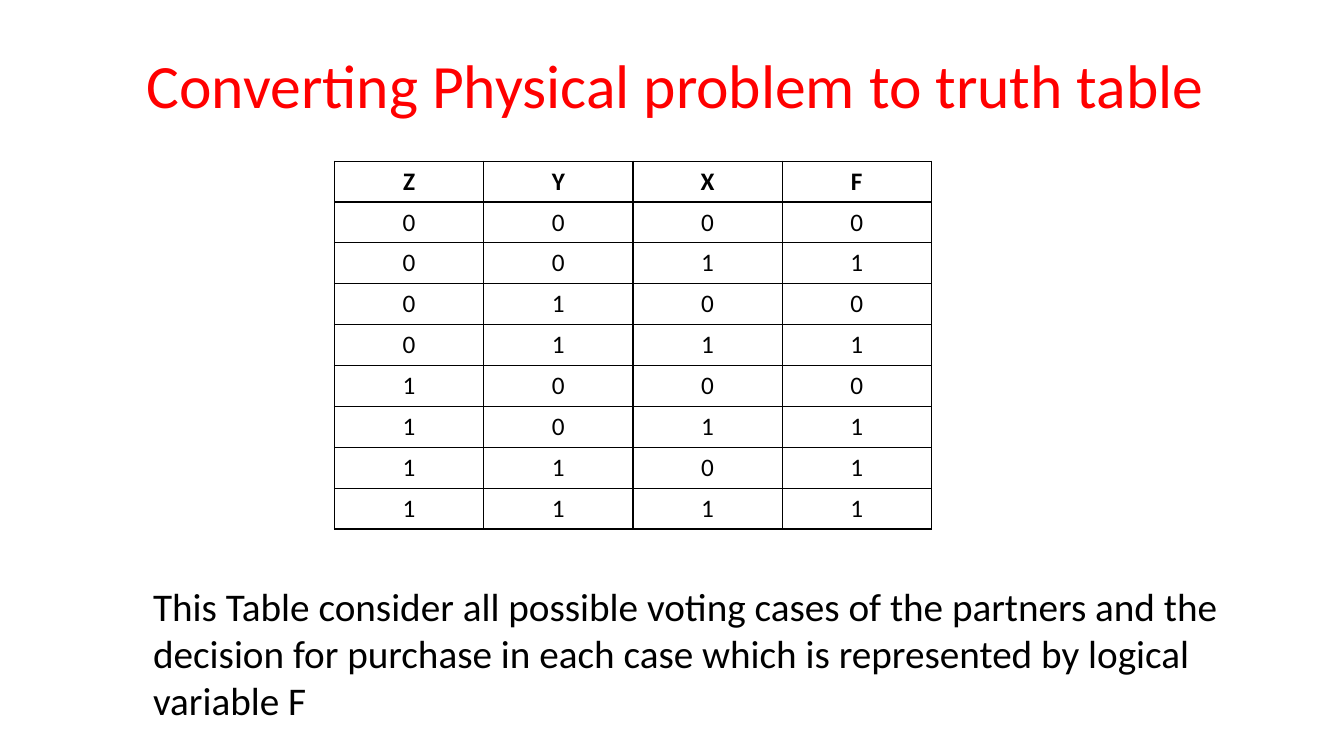
from itertools import product

from lxml.etree import SubElement
from pptx import Presentation
from pptx.dml.color import RGBColor
from pptx.enum.text import MSO_ANCHOR as Anchor, MSO_AUTO_SIZE as AutoSize, PP_ALIGN as Align
from pptx.oxml.ns import qn
from pptx.util import Cm, Pt


def color(hex_string):
    return RGBColor.from_string(hex_string)


class TruthTableSlide:
    font_name = "Calibri"
    ink = "000000"
    accent = "FF0000"

    def __init__(self, deck):
        self.slide = deck.slides.add_slide(deck.slide_layouts[5])

    def set_text(self, frame, text, size, hue, align=Align.LEFT, bold=False):
        frame.text = text
        paragraph = frame.paragraphs[0]
        paragraph.alignment = align
        for run in paragraph.runs:
            run.font.name = self.font_name
            run.font.size = Pt(size)
            run.font.bold = bold
            run.font.color.rgb = color(hue)
        return paragraph

    def title(self, text, left, top, width, height):
        heading = self.slide.shapes.title
        heading.left, heading.top = Cm(left), Cm(top)
        heading.width, heading.height = Cm(width), Cm(height)
        frame = heading.text_frame
        frame.word_wrap = True
        frame.vertical_anchor = Anchor.MIDDLE
        self.set_text(frame, text, 44, self.accent, Align.CENTER).line_spacing = 0.9

    def text(self, text, left, top, width, height):
        box = self.slide.shapes.add_textbox(Cm(left), Cm(top), Cm(width), Cm(height))
        frame = box.text_frame
        frame.word_wrap = True
        frame.auto_size = AutoSize.SHAPE_TO_FIT_TEXT
        self.set_text(frame, text, 28, self.ink)

    def border(self, cell):
        properties = cell._tc.get_or_add_tcPr()
        for side in ("lnL", "lnR", "lnT", "lnB"):
            line = SubElement(properties, qn(f"a:{side}"), w=str(Pt(1)))
            fill = SubElement(line, qn("a:solidFill"))
            SubElement(fill, qn("a:srgbClr"), val=self.ink)

    def table(self, rows, left, top, column_width, row_height):
        row_count, column_count = len(rows), len(rows[0])
        grid = self.slide.shapes.add_table(
            row_count, column_count, Cm(left), Cm(top),
            Cm(column_width * column_count), Cm(row_height * row_count),
        ).table
        grid.horz_banding = False
        for column in grid.columns:
            column.width = Cm(column_width)
        for row_index, values in enumerate(rows):
            grid.rows[row_index].height = Cm(row_height)
            for column_index, value in enumerate(values):
                cell = grid.cell(row_index, column_index)
                self.border(cell)
                cell.fill.background()
                self.set_text(cell.text_frame, str(value), 18, self.ink,
                              Align.CENTER, bold=row_index == 0)


def main():
    deck = Presentation()
    deck.slide_width, deck.slide_height = Cm(33.87), Cm(19.05)
    page = TruthTableSlide(deck)
    page.title("Converting Physical problem to truth table", 1.04, 0.38, 31.98, 3.68)
    votes = [(z, y, x, x | (z & y)) for z, y, x in product((0, 1), repeat=3)]
    page.table([("Z", "Y", "X", "F"), *votes], 8.43, 4.06, 3.76, 1.02)
    page.text(
        "This Table consider all possible voting cases of the partners and the "
        "decision for purchase in each case which is represented by logical variable F",
        3.61, 14.55, 27.33, 3.84,
    )
    deck.save("out.pptx")


if __name__ == "__main__":
    main()
